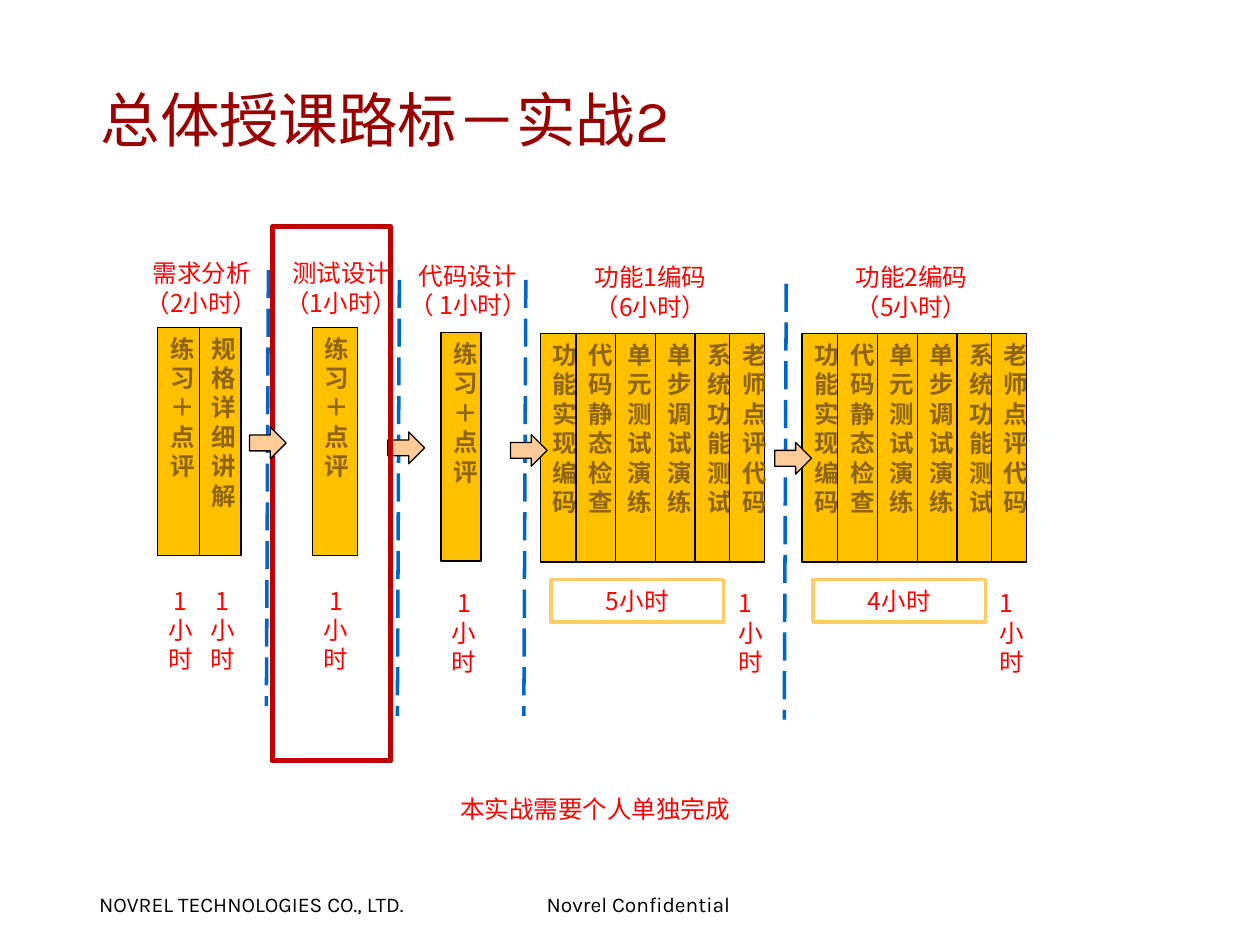
"""Build the teaching roadmap slide for practical session 2."""
from itertools import accumulate

from lxml import etree
from pptx import Presentation
from pptx.dml.color import RGBColor
from pptx.enum.dml import MSO_LINE
from pptx.enum.shapes import MSO_CONNECTOR, MSO_SHAPE
from pptx.enum.text import MSO_ANCHOR, MSO_AUTO_SIZE, PP_ALIGN
from pptx.oxml.ns import qn
from pptx.util import Cm, Pt

STRAIGHT = MSO_CONNECTOR.STRAIGHT
LONG_DASH = MSO_LINE.LONG_DASH
PROCESS = MSO_SHAPE.FLOWCHART_PROCESS
RECTANGLE = MSO_SHAPE.RECTANGLE
RIGHT_ARROW = MSO_SHAPE.RIGHT_ARROW
TOP, MIDDLE = MSO_ANCHOR.TOP, MSO_ANCHOR.MIDDLE
FIT, FIXED = MSO_AUTO_SIZE.SHAPE_TO_FIT_TEXT, MSO_AUTO_SIZE.NONE
LEFT, CENTER = PP_ALIGN.LEFT, PP_ALIGN.CENTER

BLACK = RGBColor(0x00, 0x00, 0x00)
WHITE = RGBColor(0xFF, 0xFF, 0xFF)
RED = RGBColor(0xFF, 0x00, 0x00)
DARK_RED = RGBColor(0x99, 0x00, 0x00)
FRAME_RED = RGBColor(0xC0, 0x00, 0x00)
BLUE = RGBColor(0x00, 0x66, 0xCC)
GOLD = RGBColor(0xFF, 0xC0, 0x00)
BROWN = RGBColor(0x8D, 0x65, 0x15)
PALE_GOLD = RGBColor(0xFF, 0xCC, 0x66)
PEACH = RGBColor(0xFF, 0xCC, 0x99)

CJK = "Noto Sans CJK SC"
LABEL = {"name": CJK, "size": Pt(14)}
ACTIVITY = {**LABEL, "bold": True}
TITLE = {"name": "Karla", "size": Pt(34)}
FOOTER = {"name": "Karla", "size": Pt(12)}

PRACTICE = ["练习", "＋点评"]
HOUR = ["1", "小时"]
HEADINGS = [
    (1.5, 5.08, 5.13, ["需求分析", "（2小时）"]),
    (4.62, 5.08, 4.52, ["测试设计", "（1小时）"]),
    (7.44, 5.13, 3.99, ["代码设计", "（ 1小时）"]),
    (11.02, 5.16, 4.19, ["功能1编码", "（6小时）"]),
    (16.28, 5.16, 4.19, ["功能2编码", "（5小时）"]),
]
SINGLE_COLUMNS = [
    (3.18, 6.6, 0.84, PRACTICE),
    (4.02, 6.6, 0.84, ["规格详细讲解"]),
    (6.3, 6.6, 0.91, PRACTICE),
    (8.89, 6.71, 0.81, PRACTICE),
]
CODING_STEPS = ["功能实现编码", "代码静态检查", "单元测试演练",
                "单步调试演练", "系统功能测试", "老师点评代码"]
STEP_WIDTHS = [0.72, 0.8, 0.8, 0.8, 0.7, 0.7]
CODING_STAGES = [(10.89, "5小时"), (16.17, "4小时")]
HOURS = [
    (2.92, 11.68, 1.45, HOUR, CENTER),
    (3.76, 11.68, 1.45, HOUR, CENTER),
    (6.05, 11.68, 1.45, HOUR, CENTER),
    (8.86, 11.73, 1.04, [" 1小时"], LEFT),
    (14.63, 11.73, 1.32, HOUR, LEFT),
    (19.89, 11.73, 1.32, HOUR, LEFT),
]
DIVIDERS = [(5.41, 5.44), (8.05, 5.64), (10.6, 5.64), (15.85, 5.72)]
ARROW_BELOW_FRAME = (7.82, 8.71)
ARROWS_ABOVE_FRAME = [(5.03, 8.61), (10.29, 8.76), (15.62, 8.92)]


class Roadmap:
    """Hold the style and the slide, and draw each kind of element."""

    def __init__(self, slide):
        self.shapes = slide.shapes

    def fill_text(self, box, paragraphs, style, color, align, fit=FIT, anchor=TOP, wrap=True):
        """Fill a box with formatted paragraphs."""
        frame = box.text_frame
        layout = {"word_wrap": wrap, "auto_size": fit, "vertical_anchor": anchor}
        for key, value in layout.items():
            setattr(frame, key, value)
        for index, text in enumerate(paragraphs):
            para = frame.add_paragraph() if index else frame.paragraphs[0]
            para.alignment = align
            span = para.add_run()
            span.text = text
            for key, value in style.items():
                setattr(span.font, key, value)
            span.font.color.rgb = color
            etree.SubElement(span.font._element, qn("a:ea"), typeface=CJK)

    def text(self, place, paragraphs, style=LABEL, color=RED, align=CENTER, **layout):
        """Add a text box."""
        box = self.shapes.add_textbox(*map(Cm, place))
        self.fill_text(box, paragraphs, style, color, align, **layout)

    def shape(self, kind, place, fill, line, width):
        """Add a preset shape with a plain fill and outline."""
        box = self.shapes.add_shape(kind, *map(Cm, place))
        box.shadow.inherit = False
        if fill is None:
            box.fill.background()
        else:
            box.fill.solid()
            box.fill.fore_color.rgb = fill
        box.line.color.rgb = line
        box.line.width = Pt(width)
        return box

    def column(self, left, top, width, paragraphs):
        """Add an activity column."""
        box = self.shape(PROCESS, (left, top, width, 4.6), GOLD, BLACK, 0.75)
        self.fill_text(box, paragraphs, ACTIVITY, BROWN, CENTER, fit=FIXED)

    def total(self, left, text):
        """Add a framed sum of hours."""
        box = self.shape(RECTANGLE, (left, 11.68, 3.48, 0.86), WHITE, PALE_GOLD, 2)
        self.fill_text(box, [text], LABEL, RED, CENTER)

    def arrow(self, left, top):
        """Add an arrow to the next stage."""
        self.shape(RIGHT_ARROW, (left, top, 0.74, 0.64), PEACH, BLACK, 0.75)

    def divider(self, left, top):
        """Add a dashed line between two stages."""
        line = self.shapes.add_connector(
            STRAIGHT, Cm(left), Cm(top), Cm(left - 0.04), Cm(top + 8.79))
        line.line.color.rgb = BLUE
        line.line.width = Pt(2)
        line.line.dash_style = LONG_DASH
        etree.SubElement(line._element.spPr, qn("a:effectLst"))


def main():
    """Build and save the deck."""
    deck = Presentation()
    deck.slide_width, deck.slide_height = Cm(25.4), Cm(19.05)
    page = Roadmap(deck.slides.add_slide(deck.slide_layouts[6]))

    for left, width, text in [(1.75, 7.32, "NOVREL TECHNOLOGIES CO., LTD."),
                              (10.77, 4.57, "Novrel Confidential")]:
        page.text((left, 17.85, width, 0.74), [text], FOOTER, BLACK, LEFT, wrap=False)
    page.text((1.78, 1.19, 21.51, 2.41), ["总体授课路标－实战2"],
              TITLE, DARK_RED, LEFT, fit=FIXED, anchor=MIDDLE)

    for place in DIVIDERS:
        page.divider(*place)
    for column in SINGLE_COLUMNS:
        page.column(*column)
    offsets = list(accumulate(STEP_WIDTHS[:-1], initial=0))
    for left, hours in CODING_STAGES:
        for offset, width, step in zip(offsets, STEP_WIDTHS, CODING_STEPS):
            page.column(left + offset, 6.73, width, [step])
        page.total(left + 0.22, hours)
    for left, top, width, lines in HEADINGS:
        page.text((left, top, width, 1.45), lines)
    for left, top, width, lines, align in HOURS:
        page.text((left, top, width, 2.03), lines, align=align)

    page.arrow(*ARROW_BELOW_FRAME)
    page.shape(RECTANGLE, (5.49, 4.57, 2.39, 10.77), None, FRAME_RED, 3)
    for place in ARROWS_ABOVE_FRAME:
        page.arrow(*place)
    page.text((6.3, 15.88, 11.4, 0.86), ["本实战需要个人单独完成"])
    deck.save("out.pptx")


if __name__ == "__main__":
    main()
